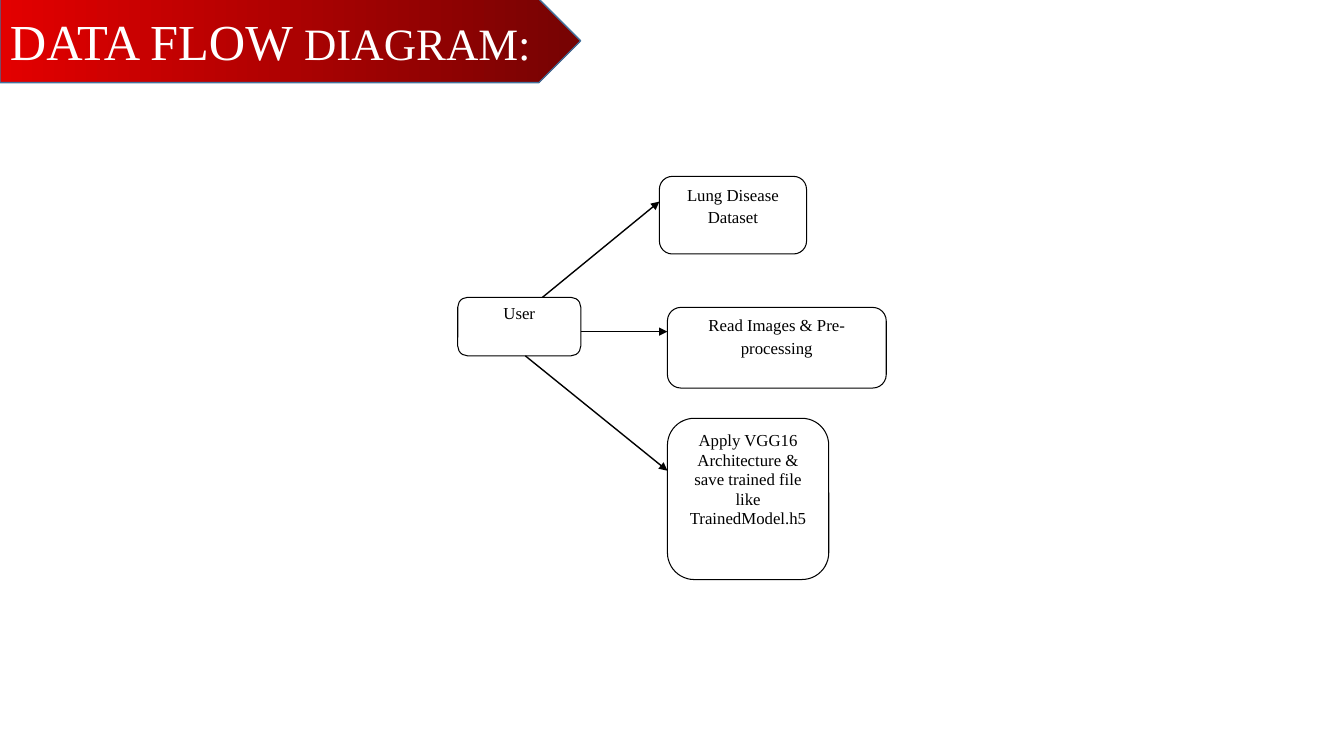
from pptx import Presentation
from pptx.dml.color import RGBColor
from pptx.enum import shapes, text
from pptx.oxml import ns
from pptx.util import Inches, Pt
from lxml import etree

FONT = "Times New Roman"
WHITE = RGBColor(0xFF, 0xFF, 0xFF)
BLACK = RGBColor(0, 0, 0)
RED = RGBColor(0xE3, 0x00, 0x00)
DARK_RED = RGBColor(0x76, 0x03, 0x03)
BLUE = RGBColor(0x43, 0x73, 0x9E)

# Label, left, top, width, height, side inset, top inset, line spacing
BOXES = [
    ("User", 4.54, 2.95, 1.22, 0.58, 0.2, 0.03, 1.0),
    ("Lung Disease Dataset", 6.54, 1.75, 1.46, 0.77, 0.2, 0.02, 1.12),
    ("Read Images & Pre- processing", 6.62, 3.05, 2.17, 0.8, 0.35, 0.01, 1.14),
    ("Apply VGG16 Architecture & save trained file like TrainedModel.h5",
     6.62, 4.15, 1.6, 1.6, 0.13, 0.05, 0.97),
]

# Start x, start y, end x, end y
ARROWS = [
    (5.38, 2.95, 6.54, 2.0),
    (5.76, 3.29, 6.62, 3.29),
    (5.21, 3.53, 6.62, 4.67),
]


def add_banner(s):
    sp = s.shapes.add_shape(shapes.MSO_SHAPE.PENTAGON, Inches(0), Inches(-0.01),
                            Inches(5.76), Inches(0.83))
    sp.shadow.inherit = False
    sp.fill.gradient()
    sp.fill.gradient_angle = 0
    for stop, color in zip(sp.fill.gradient_stops, (RED, DARK_RED)):
        stop.color.rgb = color
    sp.line.color.rgb = BLUE
    sp.line.width = Pt(1)
    tf = sp.text_frame
    tf.vertical_anchor = text.MSO_ANCHOR.MIDDLE
    p = tf.paragraphs[0]
    p.alignment = text.PP_ALIGN.LEFT
    p.font.name = FONT
    p.font.color.rgb = WHITE
    for words, size in (("DATA FLOW", 36), (" DIAGRAM:", 32)):
        r = p.add_run()
        r.text = words
        r.font.size = Pt(size)


def add_box(s, label, left, top, width, height, side, head, spacing):
    sp = s.shapes.add_shape(shapes.MSO_SHAPE.ROUNDED_RECTANGLE, Inches(left),
                            Inches(top), Inches(width), Inches(height))
    sp.shadow.inherit = False
    sp.fill.background()
    sp.line.color.rgb = BLACK
    sp.line.width = Pt(0.75)
    tf = sp.text_frame
    tf.word_wrap = True
    tf.vertical_anchor = text.MSO_ANCHOR.TOP
    tf.margin_left = tf.margin_right = Inches(side)
    tf.margin_top, tf.margin_bottom = Inches(head), Inches(0)
    p = tf.paragraphs[0]
    p.text = label
    p.alignment = text.PP_ALIGN.CENTER
    p.line_spacing = spacing
    p.font.name = FONT
    p.font.size = Pt(12)
    p.font.color.rgb = BLACK


def add_arrow(s, *ends):
    line = s.shapes.add_connector(shapes.MSO_CONNECTOR.STRAIGHT,
                                  *(Inches(v) for v in ends))
    line.line.color.rgb = BLACK
    line.line.width = Pt(1)
    etree.SubElement(line.line._get_or_add_ln(), ns.qn("a:tailEnd"), type="triangle")
    etree.SubElement(line._element.spPr, ns.qn("a:effectLst"))


def main():
    prs = Presentation()
    prs.slide_width, prs.slide_height = Inches(13.33), Inches(7.5)
    s = prs.slides.add_slide(prs.slide_layouts[6])

    # Title banner
    add_banner(s)

    # Flow from the user to each step
    for box in BOXES:
        add_box(s, *box)
    for arrow in ARROWS:
        add_arrow(s, *arrow)

    prs.save("out.pptx")


if __name__ == "__main__":
    main()
